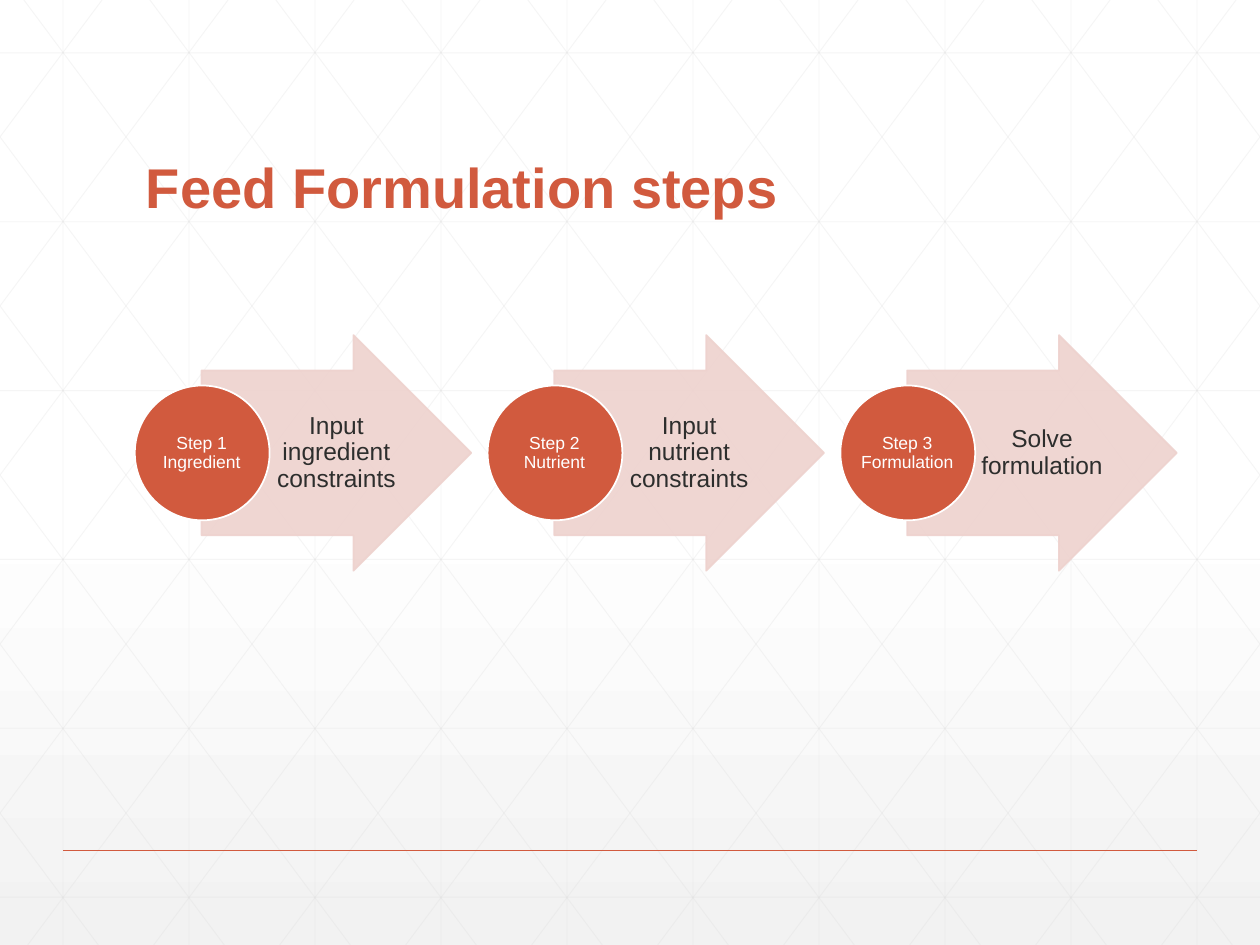
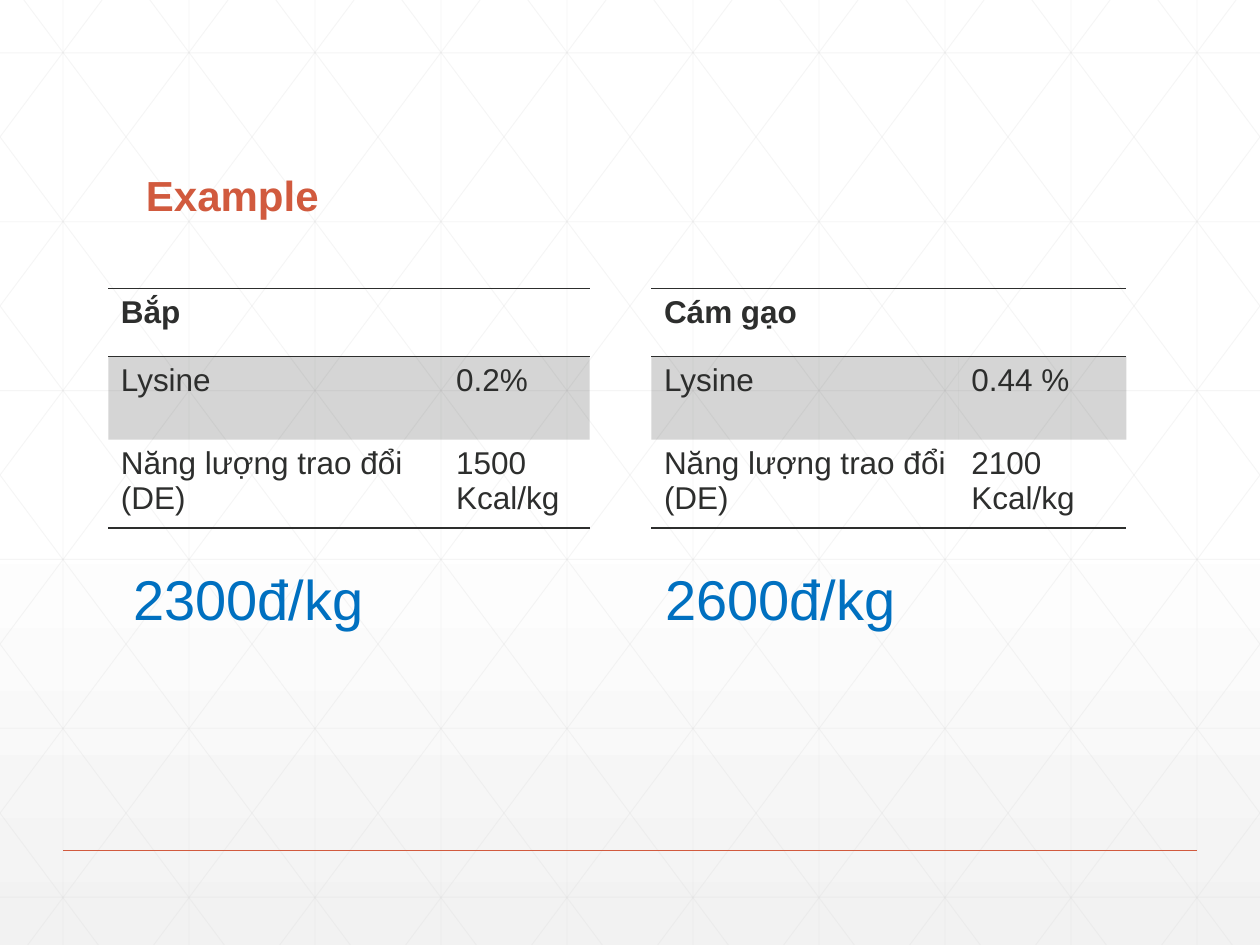
from lxml import etree
from pptx import Presentation
from pptx.dml.color import RGBColor
from pptx.enum.shapes import MSO_CONNECTOR, MSO_SHAPE
from pptx.enum.text import MSO_ANCHOR, MSO_AUTO_SIZE, PP_ALIGN
from pptx.oxml.ns import qn
from pptx.util import Inches, Pt

STRAIGHT = MSO_CONNECTOR.STRAIGHT
ARROW, CIRCLE = MSO_SHAPE.RIGHT_ARROW, MSO_SHAPE.OVAL
TOP, MIDDLE, BOTTOM = MSO_ANCHOR.TOP, MSO_ANCHOR.MIDDLE, MSO_ANCHOR.BOTTOM
LEFT, CENTER = PP_ALIGN.LEFT, PP_ALIGN.CENTER
FIT_TEXT = MSO_AUTO_SIZE.SHAPE_TO_FIT_TEXT

WIDTH, HEIGHT = 10, 7.5
FONT = "Arial"
COLORS = {
    "accent": "D15A3E",
    "arrow": "EED2CE",
    "ink": "2D2E2D",
    "price": "0070C0",
    "white": "FFFFFF",
    "haze": "F2F2F2",
    "lattice": "D9D9D9",
}
BACKDROP = [(0, "white", 100), (53, "white", 100), (100, "haze", 65)]
PLAIN_TABLE = "{2D5ABB26-0587-4C30-8999-92F81FD0307C}"
DIAGONAL_START, DIAGONAL_RUN = 0.19, 5.59

STEPS = [
    ("Step 1 Ingredient", "Input ingredient constraints"),
    ("Step 2 Nutrient", "Input nutrient constraints"),
    ("Step 3 Formulation", "Solve formulation"),
]
STEP_PITCH = 2.8

FEEDS = [
    ("Bắp", "0.2%", "1500 Kcal/kg", 0.86, (2.66, 1.16), "2300đ/kg", 0.96),
    ("Cám gạo", "0.44 %", "2100 Kcal/kg", 5.17, (2.44, 1.33), "2600đ/kg", 5.18),
]
ROW_HEIGHTS = (0.54, 0.66, 0.66)


def rgb(name):
    return RGBColor.from_string(COLORS[name])


def add_color(parent, name, opacity=100):
    color = etree.SubElement(parent, qn("a:srgbClr"), val=COLORS[name])
    if opacity < 100:
        etree.SubElement(color, qn("a:alpha"), val=str(opacity * 1000))


def fade(element, opacity):
    for color in element.iter(qn("a:srgbClr")):
        etree.SubElement(color, qn("a:alpha"), val=str(opacity * 1000))


class Deck:
    def __init__(self):
        self.presentation = Presentation()
        self.presentation.slide_width = Inches(WIDTH)
        self.presentation.slide_height = Inches(HEIGHT)
        self.slide = None

    def start_slide(self, title, size):
        blank = self.presentation.slide_layouts[6]
        self.slide = self.presentation.slides.add_slide(blank)
        self.backdrop()
        self.lattice()
        self.line((0.5, 6.75), (9.5, 6.75), "accent", 1)
        self.text(title, (1.06, 0.55, 7.88, 1.25), size, "accent",
                  bold=True, anchor=BOTTOM, spacing=0.9)

    def backdrop(self):
        fill = self.slide.background.fill
        fill.gradient()
        fill.gradient_angle = 270
        stops = self.slide.element.find(".//" + qn("a:gsLst"))
        for stop in list(stops):
            stops.remove(stop)
        for position, name, opacity in BACKDROP:
            stop = etree.SubElement(stops, qn("a:gs"), pos=str(position * 1000))
            add_color(stop, name, opacity)

    def lattice(self):
        def thread(start, end):
            self.line(start, end, "lattice", 0.5, 25)

        for column in range(WIDTH):
            thread((column + 0.5, 0), (column + 0.5, HEIGHT))
        for row in range(6):
            y = 0.42 + row * 1.34
            thread((0, y), (WIDTH, y))
        slope = HEIGHT / DIAGONAL_RUN
        for step in range(-5, WIDTH):
            origin = DIAGONAL_START + step
            left, right = max(0, origin), min(WIDTH, origin + DIAGONAL_RUN)
            top, bottom = (left - origin) * slope, (right - origin) * slope
            thread((left, top), (right, bottom))
            thread((WIDTH - left, top), (WIDTH - right, bottom))

    def line(self, start, end, color, width, opacity=100):
        points = [Inches(value) for value in (*start, *end)]
        connector = self.slide.shapes.add_connector(STRAIGHT, *points)
        connector.line.color.rgb = rgb(color)
        connector.line.width = Pt(width)
        properties = connector.element.spPr
        etree.SubElement(properties, qn("a:effectLst"))
        if opacity < 100:
            fade(properties, opacity)

    def shape(self, kind, box, fill, outline, opacity=100):
        shape = self.slide.shapes.add_shape(kind, *map(Inches, box))
        shape.shadow.inherit = False
        shape.fill.solid()
        shape.fill.fore_color.rgb = rgb(fill)
        shape.line.color.rgb = rgb(outline)
        shape.line.width = Pt(1)
        if opacity < 100:
            fade(shape.element.spPr, opacity)
        return shape

    def add_words(self, frame, content, size, color, bold=False, align=LEFT, spacing=1.0):
        paragraph = frame.paragraphs[0]
        paragraph.alignment = align
        paragraph.line_spacing = spacing
        run = paragraph.add_run()
        run.text = content
        run.font.name = FONT
        run.font.size = Pt(size)
        run.font.bold = bold
        run.font.color.rgb = rgb(color)

    def text(self, content, box, size, color, bold=False, align=LEFT,
             anchor=TOP, spacing=1.0, insets=(0.1, 0.05, 0.1, 0.05), wrap=True):
        frame = self.slide.shapes.add_textbox(*map(Inches, box)).text_frame
        frame.word_wrap = wrap
        if not wrap:
            frame.auto_size = FIT_TEXT
        frame.vertical_anchor = anchor
        frame.margin_left, frame.margin_top, frame.margin_right, frame.margin_bottom = map(
            Inches, insets)
        self.add_words(frame, content, size, color, bold, align, spacing)

    def step(self, offset, label, task):
        arrow = self.shape(ARROW, (1.6 + offset, 2.66, 2.14, 1.87), "arrow", "arrow", 90)
        arrow.adjustments[0], arrow.adjustments[1] = 0.7, 0.5
        self.text(task, (2.14 + offset, 2.94, 1.04, 1.31), 14, "ink", align=CENTER,
                  anchor=MIDDLE, spacing=0.9, insets=(0.04, 0.01, 0.02, 0.01))
        self.shape(CIRCLE, (1.07 + offset, 3.06, 1.07, 1.07), "accent", "white")
        self.text(label, (1.22 + offset, 3.22, 0.76, 0.76), 10, "white", align=CENTER,
                  anchor=MIDDLE, spacing=0.9, insets=(0.01,) * 4)

    def border(self, cell, sides):
        properties = cell._tc.get_or_add_tcPr()
        for side in sides:
            edge = etree.SubElement(properties, qn("a:ln" + side), w=str(Pt(1)))
            add_color(etree.SubElement(edge, qn("a:solidFill")), "ink")

    def nutrient_table(self, left, widths, rows):
        box = (left, 2.29, sum(widths), sum(ROW_HEIGHTS))
        table = self.slide.shapes.add_table(
            len(rows), len(widths), *map(Inches, box)).table
        table.first_row = table.horz_banding = False
        table._tbl.find(".//" + qn("a:tableStyleId")).text = PLAIN_TABLE
        for column, width in zip(table.columns, widths):
            column.width = Inches(width)
        for row, height in zip(table.rows, ROW_HEIGHTS):
            row.height = Inches(height)
        table.cell(0, 0).merge(table.cell(0, 1))
        for r, (values, sides) in enumerate(zip(rows, ("TB", "", "B"))):
            for c in range(len(widths)):
                cell = table.cell(r, c)
                self.border(cell, sides)
                if r == 1:
                    cell.fill.solid()
                    cell.fill.fore_color.rgb = rgb("ink")
                    fade(cell._tc.tcPr, 20)
                else:
                    cell.fill.background()
                if c < len(values):
                    self.add_words(cell.text_frame, values[c], 18, "ink", bold=r == 0)


def main():
    deck = Deck()

    deck.start_slide("Feed Formulation steps", 32)
    for index, (label, task) in enumerate(STEPS):
        deck.step(index * STEP_PITCH, label, task)

    deck.start_slide("Example", 24)
    for feed, lysine, energy, left, widths, price, price_left in FEEDS:
        rows = [(feed,), ("Lysine", lysine), ("Năng lượng trao đổi (DE)", energy)]
        deck.nutrient_table(left, widths, rows)
        deck.text(price, (price_left, 4.43, 2.04, 0.64), 32, "price", wrap=False)

    deck.presentation.save("out.pptx")


if __name__ == "__main__":
    main()
